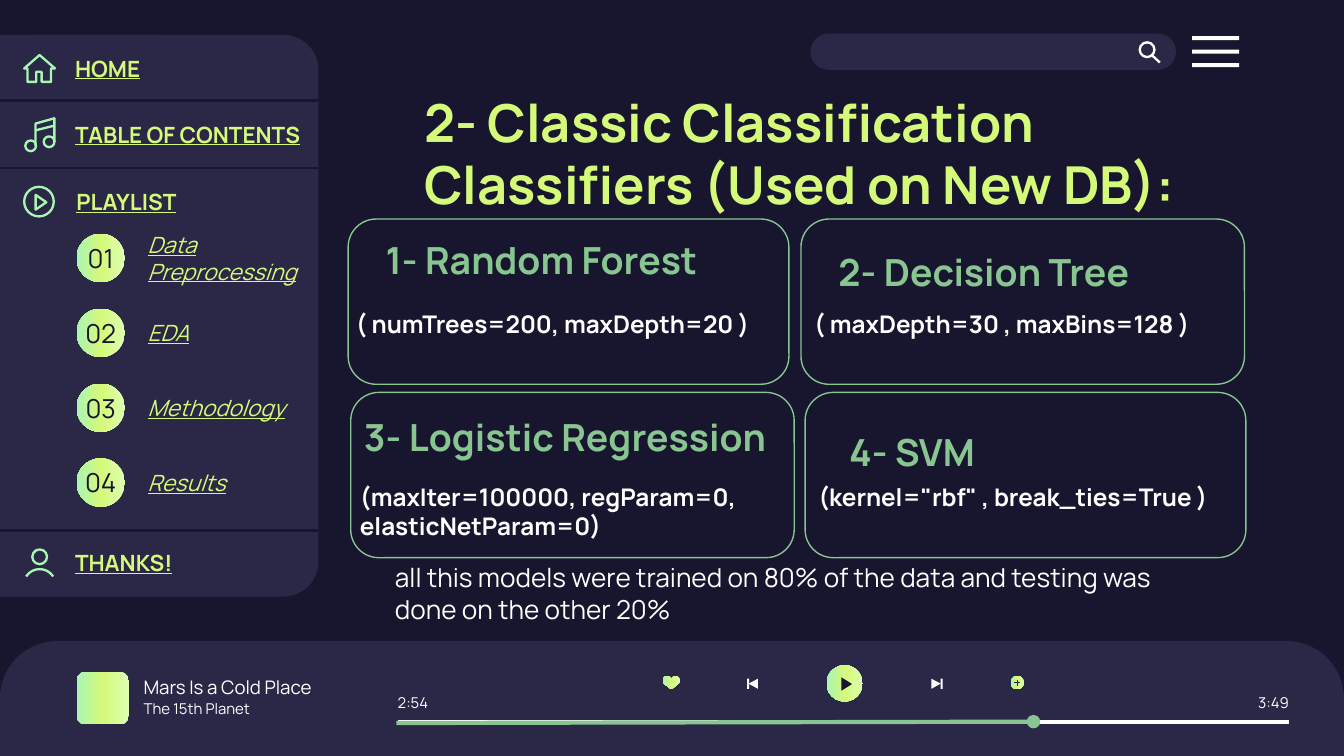
import copy
import dataclasses
import math

import pptx
import pptx.dml.color
import pptx.enum.shapes
import pptx.enum.text
import pptx.oxml.ns
import pptx.oxml.xmlchemy
import pptx.util
import lxml.etree

SHAPE = pptx.enum.shapes.MSO_SHAPE
ALIGN = pptx.enum.text.PP_ALIGN
ANCHOR = pptx.enum.text.MSO_ANCHOR
QN = pptx.oxml.ns.qn
COLUMNS, ROWS = 100, 56.25
CELL = pptx.util.Inches(0.1)


@dataclasses.dataclass(frozen=True)
class Theme:
    font: str = "Manrope"
    night: str = "17162E"
    panel: str = "2A2747"
    white: str = "FFFFFF"
    lime: str = "D5F979"
    mint: str = "A9F5B4"
    sage: str = "88C591"
    glow: tuple = ("DDFFB2", "D5F979", "A9F5B4")
    title: tuple = (28, "lime", {"bold": True})
    heading: tuple = (20, "sage", {"bold": True})
    params: tuple = (13, "white", {"bold": True})
    body: tuple = (14, "white", {})
    nav: tuple = (12, "lime", {"bold": True, "underline": True})
    chapter: tuple = (12, "lime", {"italic": True, "underline": True})
    number: tuple = (14, "night", {})
    song: tuple = (10, "white", {})
    small: tuple = (8, "white", {})


T = Theme()


@dataclasses.dataclass(frozen=True)
class Box:
    x: float
    y: float
    w: float
    h: float

    def at(self, x, y, w, h):
        return Box(self.x + x, self.y + y, w, h)

    def point(self, x, y):
        return round((self.x + x) * CELL), round((self.y + y) * CELL)

    def emu(self):
        return (*self.point(0, 0), round(self.w * CELL), round(self.h * CELL))


def rgb(color):
    return pptx.dml.color.RGBColor.from_string(color)


def paint(sp, fill=None, line=None, width=1.25):
    sp.shadow.inherit = False
    if isinstance(fill, tuple):
        sp.fill.gradient()
        sp.fill.gradient_angle = 180
        stops = sp._element.spPr.find(QN("a:gradFill")).find(QN("a:gsLst"))
        stops.append(copy.deepcopy(stops[0]))
        for i, stop in enumerate(sp.fill.gradient_stops):
            stop.position = i / 2
            stop.color.rgb = rgb(fill[i])
    elif fill:
        sp.fill.solid()
        sp.fill.fore_color.rgb = rgb(fill)
    else:
        sp.fill.background()
    if line:
        sp.line.color.rgb = rgb(line)
        sp.line.width = pptx.util.Pt(width)
    else:
        sp.line.fill.background()
    return sp


def shape(s, kind, box, adj=(), **look):
    sp = s.shapes.add_shape(kind, *box.emu())
    for i, value in enumerate(adj):
        sp.adjustments[i] = value
    return paint(sp, **look)


def outline(s, box, points, close=True, **look):
    spots = [box.point(*p) for p in points]
    builder = s.shapes.build_freeform(*spots[0], scale=1.0)
    builder.add_line_segments(spots[1:], close=close)
    return paint(builder.convert_to_shape(), **look)


def line(s, box, start, end, color, width):
    sp = s.shapes.add_connector(pptx.enum.shapes.MSO_CONNECTOR.STRAIGHT,
                                *box.point(*start), *box.point(*end))
    sp.line.color.rgb = rgb(color)
    sp.line.width = pptx.util.Pt(width)
    lxml.etree.SubElement(sp._element.spPr, QN("a:effectLst"))


def write(sp, text, style, side=1, anchor=ANCHOR.MIDDLE, align=ALIGN.LEFT):
    size, color, extras = style
    tf = sp.text_frame
    frame = {"word_wrap": True, "vertical_anchor": anchor, "margin_left": side * CELL,
             "margin_right": side * CELL, "margin_top": CELL, "margin_bottom": CELL}
    for key, value in frame.items():
        setattr(tf, key, value)
    p = tf.paragraphs[0]
    p.alignment = align
    r = p.add_run()
    r.text = text
    for key, value in {"name": T.font, "size": pptx.util.Pt(size), **extras}.items():
        setattr(r.font, key, value)
    r.font.color.rgb = rgb(getattr(T, color))


def label(s, box, text, style, **layout):
    write(s.shapes.add_textbox(*box.emu()), text, style, **layout)


def arc(cx, cy, rx, ry, start, end, steps=16):
    angles = [math.radians(start + (end - start) * i / steps) for i in range(steps + 1)]
    return [(cx + rx * math.cos(a), cy + ry * math.sin(a)) for a in angles]


def search_bar(s, box):
    shape(s, SHAPE.ROUNDED_RECTANGLE, box.at(0, 0, 27.2, 2.7), [0.5], fill=T.panel)
    shape(s, SHAPE.OVAL, box.at(24.5, 0.65, 1.1, 1.1), line=T.white)
    line(s, box, (25.4, 1.6), (26, 2.15), T.white, 1.25)
    for i in range(3):
        shape(s, SHAPE.RECTANGLE, box.at(28.4, 0.2 + i, 3.5, 0.3), fill=T.white)


def home_icon(s, box):
    outline(s, box, [(1.35, 0.1), (2.5, 1.1), (2.2, 1.1), (2.2, 2.1), (1.5, 2.1), (1.5, 1.35),
                     (1.1, 1.35), (1.1, 2.1), (0.45, 2.1), (0.45, 1.1), (0.2, 1.1)], line=T.mint)


def music_icon(s, box):
    for x, y in [(0.08, 1.75), (1.45, 1.45)]:
        shape(s, SHAPE.OVAL, box.at(x, y, 0.8, 0.8), line=T.mint)
    outline(s, box, [(0.85, 2.15), (0.85, 0.5), (2.25, 0.1), (2.25, 1.85)],
            close=False, line=T.mint)
    line(s, box, (0.85, 1), (2.25, 0.65), T.mint, 1.25)


def play_icon(s, box):
    shape(s, SHAPE.OVAL, box.at(0.1, 0.1, 2.2, 2.2), line=T.mint)
    outline(s, box, [(0.95, 0.7), (0.95, 1.8), (1.75, 1.25)], line=T.mint)


def person_icon(s, box):
    shape(s, SHAPE.OVAL, box.at(0.5, 0.08, 1.1, 1.1), line=T.mint)
    outline(s, box, arc(1.05, 2.75, 1.2, 1.2, 213, 327), close=False, line=T.mint)


def sidebar(s, box):
    shape(s, SHAPE.RECTANGLE, box.at(0, 0, box.w / 2, box.h), fill=T.panel)
    shape(s, SHAPE.ROUNDED_RECTANGLE, box, [0.11], fill=T.panel)
    for y in (4.9, 9.9, 36.9):
        line(s, box, (box.w, y), (0, y), T.night, 1.5)
    for text, x, y, icon, spot in [
            ("HOME", 4.6, 0.7, home_icon, (1.6, 1.4, 2.7, 2.2)),
            ("TABLE OF CONTENTS", 4.6, 5.6, music_icon, (1.8, 6.1, 2.3, 2.6)),
            ("PLAYLIST", 4.7, 10.6, play_icon, (1.7, 11.2, 2.4, 2.4)),
            ("THANKS!", 4.6, 37.5, person_icon, (1.9, 38.2, 2.1, 2.2))]:
        icon(s, box.at(*spot))
        label(s, box.at(x, y, 20.8, 3.6), text, T.nav)
    for i, text in enumerate(["Data Preprocessing", "EDA", "Methodology", "Results"]):
        row = box.at(5.7, 14 + 5.57 * i, 19.6, 5.2)
        sp = shape(s, SHAPE.OVAL, row.at(0, 0.8, 3.6, 3.6), fill=T.glow)
        write(sp, f"{i + 1:02d}", T.number, side=0, align=ALIGN.CENTER)
        label(s, row.at(4.3, 0, 15.3, 5.2), text, T.chapter)


def card(s, box, heading, heading_at, params, params_at):
    shape(s, SHAPE.ROUNDED_RECTANGLE, box, [0.17], line=T.sage, width=0.75)
    label(s, box.at(*heading_at, 5.8), heading, T.heading)
    label(s, box.at(*params_at), params, T.params, anchor=ANCHOR.TOP)


def classifiers(s, box):
    label(s, box.at(4.7, 0, 63.7, 6.3),
          "2- Classic Classification Classifiers (Used on New DB):", T.title)
    card(s, box.at(0, 8.1, 32.8, 12.3), "1- Random Forest", (1.8, 0.1, 28.5),
         "( numTrees=200, maxDepth=20 )", (-0.4, 5.7, 33, 3.6))
    card(s, box.at(33.7, 8.1, 33, 12.3), "2- Decision Tree", (1.8, 1, 28.5),
         "( maxDepth=30 , maxBins=128 )", (0, 5.7, 33, 3.6))
    card(s, box.at(0.2, 21, 33, 12.3), "3- Logistic Regression", (0, 0.4, 34.9),
         "(maxIter=100000, regParam=0, elasticNetParam=0)", (-0.3, 5.7, 34.4, 5.8))
    card(s, box.at(34, 21, 32.8, 12.3), "4- SVM", (2.3, 1.5, 28.5),
         '(kernel="rbf" , break_ties=True )', (0, 5.7, 33, 3.6))
    label(s, box.at(2.5, 32.6, 61.3, 6.3), "all this models were trained on 80% of the data "
          "and testing was done on the other 20%", T.body, anchor=ANCHOR.TOP)


def transport(s, box):
    outline(s, box.at(0, 0.8, 1.3, 1), arc(0.33, 0.35, 0.33, 0.35, 150, 340)
            + arc(0.97, 0.35, 0.33, 0.35, 200, 390) + [(0.65, 1)], fill=T.glow)
    shape(s, SHAPE.OVAL, box.at(12.2, 0, 2.7, 2.7), fill=T.glow)
    outline(s, box.at(13.3, 0.9, 0.8, 1), [(0, 0), (0, 1), (0.8, 0.5)], fill=T.night)
    for x, bar, base, tip in [(6.3, 0, 0.8, 0.1), (20, 0.7, 0, 0.7)]:
        skip = box.at(x, 1, 0.85, 0.75)
        shape(s, SHAPE.RECTANGLE, skip.at(bar, 0, 0.15, 0.75), fill=T.white)
        outline(s, skip, [(base, 0), (base, 0.75), (tip, 0.37)], fill=T.white)
    plus = box.at(25.9, 0.8, 1, 1)
    shape(s, SHAPE.OVAL, plus, fill=T.glow)
    line(s, plus, (0.5, 0.28), (0.5, 0.72), T.panel, 0.75)
    line(s, plus, (0.28, 0.5), (0.72, 0.5), T.panel, 0.75)


def player(s, box):
    shape(s, SHAPE.ROUND_2_SAME_RECTANGLE, box, [0.5, 0], fill=T.panel)
    shape(s, SHAPE.ROUNDED_RECTANGLE, box.at(5.7, 2.3, 3.9, 3.9), [0.17], fill=T.glow)
    label(s, box.at(9.7, 2.6, 19.1, 1.7), "Mars Is a Cold Place", T.song)
    label(s, box.at(9.7, 4.2, 11.5, 1.7), "The 15th Planet", T.small)
    label(s, box.at(29.6, 3.7, 2.7, 1.7), "2:54", T.small, side=0)
    label(s, box.at(93.2, 3.7, 2.7, 1.7), "3:49", T.small, side=0, align=ALIGN.RIGHT)
    transport(s, box.at(49.3, 1.8, 27, 2.7))
    line(s, box, (29.6, 6), (95.9, 6), T.white, 2.25)
    shape(s, SHAPE.OVAL, box.at(76.4, 5.5, 1, 1), fill=T.sage)
    line(s, box, (29.5, 6.1), (76.8, 6), T.sage, 2.25)


def main():
    prs = pptx.Presentation()
    prs.slide_width = round(COLUMNS * CELL)
    prs.slide_height = round(ROWS * CELL)
    s = prs.slides.add_slide(prs.slide_layouts[6])
    s.background.fill.solid()
    s.background.fill.fore_color.rgb = rgb(T.night)
    search_bar(s, Box(60.3, 2.5, 31.9, 2.7))
    player(s, Box(0, 47.7, COLUMNS, 8.55))
    sidebar(s, Box(0, 2.6, 23.7, 41.8))
    classifiers(s, Box(25.9, 8.2, 68.4, 38.9))
    prs.save("out.pptx")


if __name__ == "__main__":
    main()
